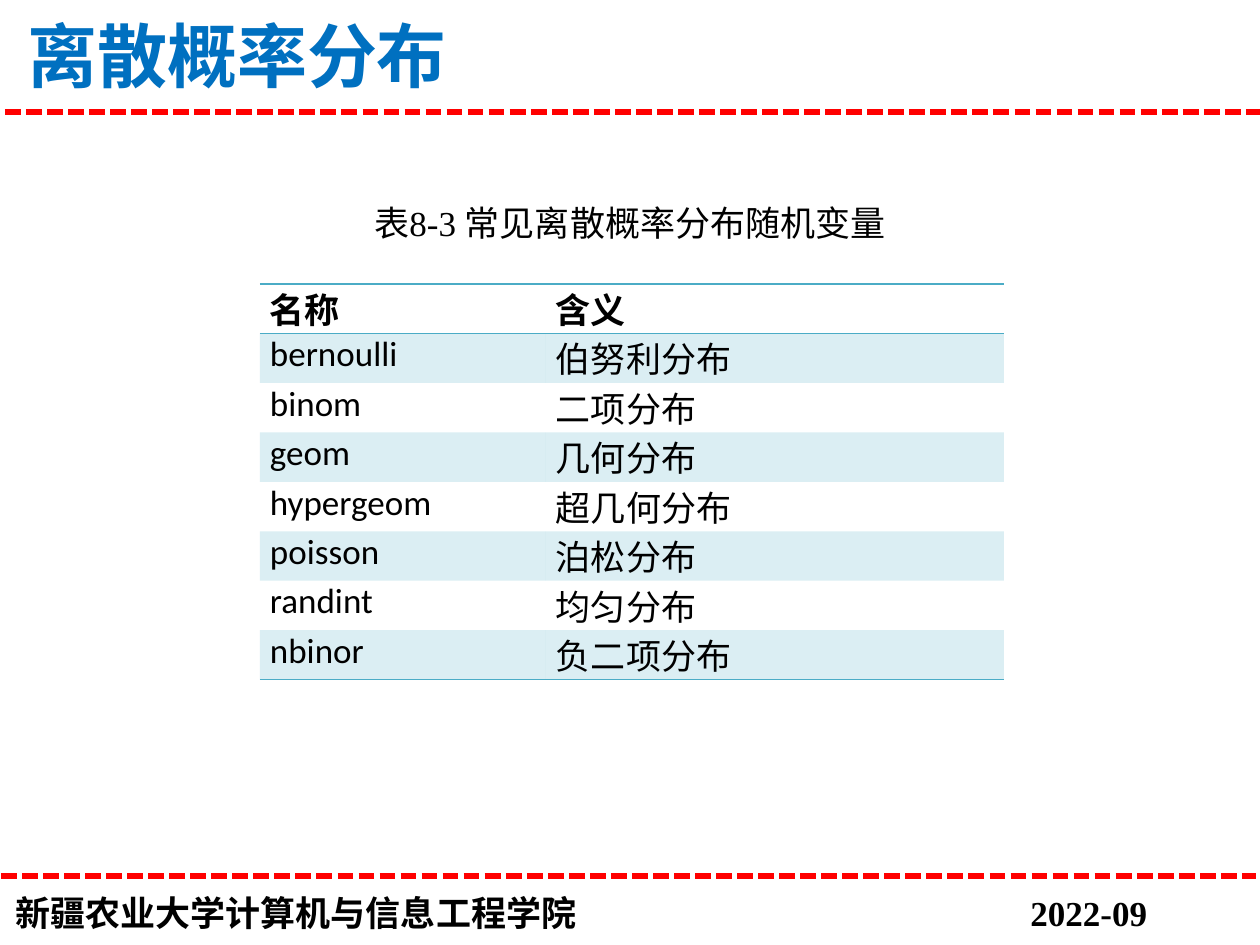
"""Build a slide that tabulates common discrete probability distributions."""

import dataclasses

import lxml.etree
import pptx
import pptx.dml.color
import pptx.enum.dml
import pptx.enum.shapes
import pptx.enum.text
import pptx.oxml.ns
import pptx.slide
import pptx.table
import pptx.text.text
import pptx.util

SCALE = 914400 / 126
COLORS = {"title": "0070C0", "rule": "FF0000", "text": "000000", "accent": "4BACC6"}
LATIN_SERIF = "Times New Roman"
SANS = "Calibri"
BODY_SIZE = 20
TITLE_SIZE = 40
CELL_LINE_SPACING = 0.97
PLAIN_TABLE_STYLE = "{2D5ABB26-0587-4C30-8999-92F81FD0307C}"
MIDDLE = pptx.enum.text.MSO_ANCHOR.MIDDLE
TOP = pptx.enum.text.MSO_ANCHOR.TOP


@dataclasses.dataclass(frozen=True)
class Rule:
    left: int
    right: int
    y: int


@dataclasses.dataclass(frozen=True)
class TextStyle:
    size: int
    font: str
    color: str = "text"
    bold: bool = False


@dataclasses.dataclass(frozen=True)
class Label:
    text: str
    left: int
    top: int
    width: int
    height: int
    style: TextStyle
    anchor: pptx.enum.text.MSO_ANCHOR = MIDDLE
    tab: int = 0


@dataclasses.dataclass(frozen=True)
class Distribution:
    name: str
    meaning: str


@dataclasses.dataclass(frozen=True)
class TableLayout:
    left: int
    top: int
    height: int
    column_widths: tuple[int, int]
    side_margin: int


TITLE_STYLE = TextStyle(TITLE_SIZE, SANS, color="title", bold=True)
CAPTION_STYLE = TextStyle(BODY_SIZE, LATIN_SERIF)
FOOTER_STYLE = TextStyle(BODY_SIZE, LATIN_SERIF, bold=True)
HEADER_STYLE = TextStyle(BODY_SIZE, SANS, bold=True)
CELL_STYLE = TextStyle(BODY_SIZE, SANS)

RULES = [Rule(1, 1256, 876), Rule(5, 1260, 112)]
LABELS = [
    Label("新疆农业大学计算机与信息工程学院\t2022-09", 3, 885, 1254, 54,
          FOOTER_STYLE, anchor=TOP, tab=1015),
    Label("表8-3 常见离散概率分布随机变量", 362, 194, 541, 56, CAPTION_STYLE),
    Label("离散概率分布", 15, 0, 1234, 109, TITLE_STYLE),
]
LAYOUT = TableLayout(260, 284, 396, (286, 458), 10)
HEADER = Distribution("名称", "含义")
DISTRIBUTIONS = [
    Distribution("bernoulli", "伯努利分布"),
    Distribution("binom", "二项分布"),
    Distribution("geom", "几何分布"),
    Distribution("hypergeom", "超几何分布"),
    Distribution("poisson", "泊松分布"),
    Distribution("randint", "均匀分布"),
    Distribution("nbinor", "负二项分布"),
]


def px(length: int) -> pptx.util.Emu:
    return pptx.util.Emu(round(length * SCALE))


def rgb(name: str) -> pptx.dml.color.RGBColor:
    return pptx.dml.color.RGBColor.from_string(COLORS[name])


def add_element(
    parent: lxml.etree._Element, tag: str, **attributes: str
) -> lxml.etree._Element:
    return lxml.etree.SubElement(parent, pptx.oxml.ns.qn(tag), attributes)


def apply_style(paragraph: pptx.text.text._Paragraph, style: TextStyle) -> None:
    paragraph.font.size = pptx.util.Pt(style.size)
    paragraph.font.name = style.font
    paragraph.font.bold = style.bold
    paragraph.font.color.rgb = rgb(style.color)


def draw_rule(page: pptx.slide.Slide, rule: Rule) -> None:
    connector = page.shapes.add_connector(
        pptx.enum.shapes.MSO_CONNECTOR.STRAIGHT,
        px(rule.left), px(rule.y), px(rule.right), px(rule.y))
    connector.line.color.rgb = rgb("rule")
    connector.line.width = pptx.util.Pt(3)
    connector.line.dash_style = pptx.enum.dml.MSO_LINE.SQUARE_DOT
    add_element(connector._element.spPr, "a:effectLst")


def draw_label(page: pptx.slide.Slide, label: Label) -> None:
    box = page.shapes.add_textbox(
        px(label.left), px(label.top), px(label.width), px(label.height))
    box.text_frame.word_wrap = True
    box.text_frame.vertical_anchor = label.anchor
    paragraph = box.text_frame.paragraphs[0]
    paragraph.text = label.text
    if label.tab:
        tabs = add_element(paragraph._p.get_or_add_pPr(), "a:tabLst")
        add_element(tabs, "a:tab", pos=str(px(label.tab)), algn="l")
    apply_style(paragraph, label.style)


def write_cell(cell: pptx.table._Cell, text: str, style: TextStyle) -> None:
    cell.margin_left = cell.margin_right = px(LAYOUT.side_margin)
    cell.margin_top = cell.margin_bottom = 0
    cell.text = text
    paragraph = cell.text_frame.paragraphs[0]
    paragraph.line_spacing = CELL_LINE_SPACING
    apply_style(paragraph, style)


def add_border(cell: pptx.table._Cell, tag: str) -> None:
    border = add_element(
        cell._tc.get_or_add_tcPr(), tag, w=str(pptx.util.Pt(1)))
    fill = add_element(border, "a:solidFill")
    add_element(fill, "a:srgbClr", val=COLORS["accent"])


def fill_cell(cell: pptx.table._Cell, shaded: bool) -> None:
    if shaded:
        cell.fill.solid()
        cell.fill.fore_color.rgb = rgb("accent")
        color = cell._tc.tcPr.find("a:solidFill/a:srgbClr", pptx.oxml.ns._nsmap)
        add_element(color, "a:alpha", val="20000")
    else:
        cell.fill.background()


def draw_table(page: pptx.slide.Slide, rows: list[Distribution]) -> None:
    table = page.shapes.add_table(
        len(rows), len(LAYOUT.column_widths), px(LAYOUT.left), px(LAYOUT.top),
        px(sum(LAYOUT.column_widths)), px(LAYOUT.height)).table
    table.first_row = table.horz_banding = False
    table._tbl.tblPr.find(pptx.oxml.ns.qn("a:tableStyleId")).text = PLAIN_TABLE_STYLE
    for column, width in zip(table.columns, LAYOUT.column_widths):
        column.width = px(width)
    for index, (row, entry) in enumerate(zip(table.rows, rows)):
        is_header, is_last = index == 0, index == len(rows) - 1
        for cell, text in zip(row.cells, (entry.name, entry.meaning)):
            write_cell(cell, text, HEADER_STYLE if is_header else CELL_STYLE)
            if is_header:
                add_border(cell, "a:lnT")
            if is_header or is_last:
                add_border(cell, "a:lnB")
            fill_cell(cell, shaded=index % 2 == 1)


def main() -> None:
    deck = pptx.Presentation()
    deck.slide_width, deck.slide_height = px(1260), px(945)
    page = deck.slides.add_slide(deck.slide_layouts[6])
    for rule in RULES:
        draw_rule(page, rule)
    draw_table(page, [HEADER, *DISTRIBUTIONS])
    for label in LABELS:
        draw_label(page, label)
    deck.save("out.pptx")


if __name__ == "__main__":
    main()
